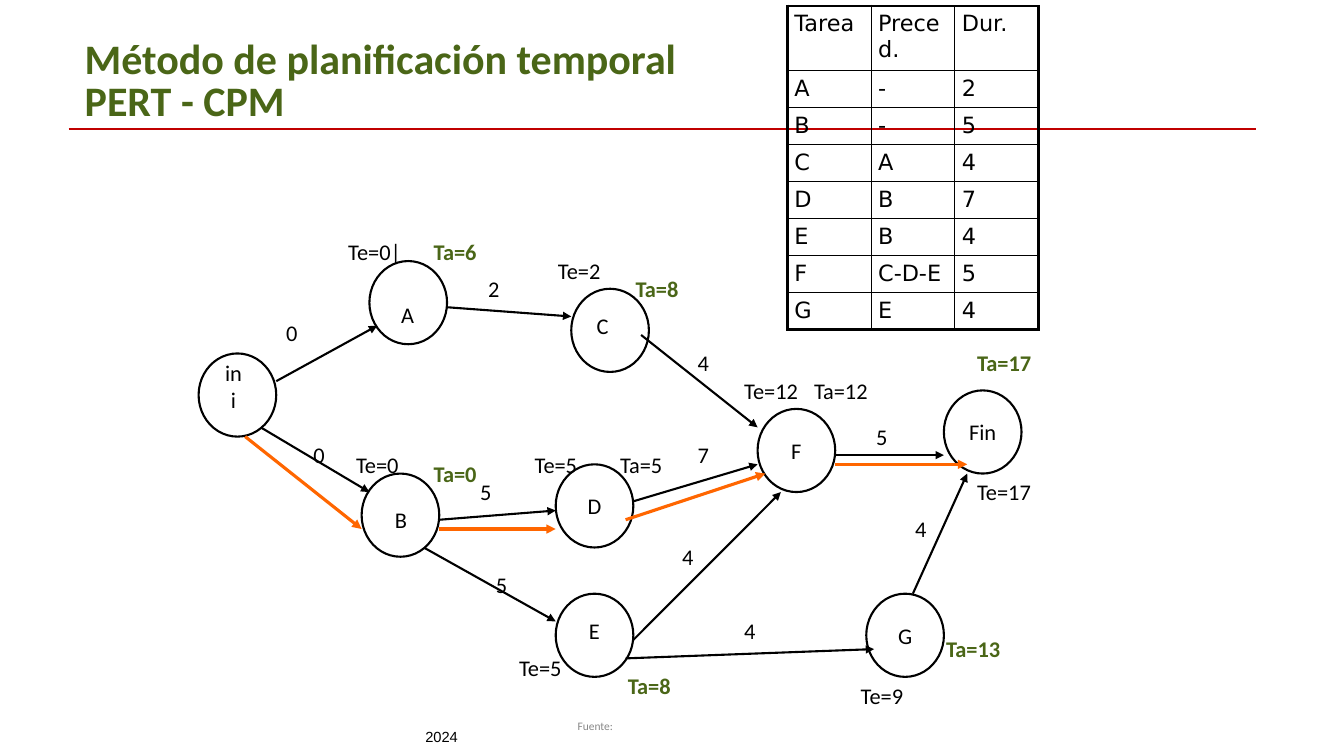
import pptx
import pptx.util
import pptx.dml.color
import pptx.enum.shapes
import pptx.enum.text
import pptx.oxml
import pptx.oxml.ns

RGB = pptx.dml.color.RGBColor
BLACK = RGB(0x00, 0x00, 0x00)
GREEN = RGB(0x4A, 0x66, 0x17)
RED = RGB(0xC0, 0x00, 0x00)
ORANGE = RGB(0xFF, 0x66, 0x00)
GREY = RGB(0x88, 0x88, 0x88)
ALIGN = pptx.enum.text.PP_ALIGN
MIDDLE = pptx.enum.text.MSO_ANCHOR.MIDDLE

NODE_W, NODE_H = 10, 9  # node size in grid columns and rows

# Nodes: column, row, text centred inside
NODES = [(0, 10, ""), (22, 0, ""), (48, 3, ""), (21, 23, ""), (46, 22, "D"),
         (46, 36, ""), (72, 16, "F"), (86, 36, "G"), (96, 14, "Fin")]

# Arrows: from column, row to column, row
TASKS = [(10, 13, 23, 7), (8, 18, 22, 25), (32, 5, 48, 6), (31, 28, 46, 27),
         (29, 31, 46, 39), (57, 8, 72, 18), (56, 26, 72, 22), (56, 41, 75, 25),
         (55, 43, 87, 42), (82, 21, 96, 21), (92, 36, 99, 23)]
CRITICAL = [(6, 19, 21, 29), (31, 29, 46, 29), (55, 28, 73, 23), (82, 22, 99, 22)]

# Labels: column, row, text
NAMES = [(24.8, 3.8, "A"), (24, 26, "B"), (50, 5, "C"), (49, 38, "E")]
DURATIONS = [(10, 5.8, "0"), (13.5, 19, "0"), (36, 1, "2"), (35, 23, "5"),
             (63, 9, "4"), (63, 19, "7"), (61, 30, "4"), (37, 33, "5"),
             (69, 38, "4"), (91, 27, "4"), (86, 17, "5")]
TIMES = [(18, -3, "Te=0|"), (19, 20, "Te=0"), (45, -1, "Te=2"), (42, 20, "Te=5"),
         (40, 42, "Te=5"), (69, 12, "Te=12"), (84, 45, "Te=9"), (99, 23, "Te=17"),
         (78, 12, "Ta=12"), (53, 20, "Ta=5")]
LATEST = [(99, 9, "Ta=17"), (95, 40, "Ta=13"), (54, 44, "Ta=8"), (55, 1, "Ta=8"),
          (29, -3, "Ta=6"), (29, 21, "Ta=0")]

ROWS = [("Tarea", "Preced.", "Dur."), ("A", "-", "2"), ("B", "-", "5"),
        ("C", "A", "4"), ("D", "B", "7"), ("E", "B", "4"),
        ("F", "C-D-E", "5"), ("G", "E", "4")]


class Board:
    """Style, slide and the grid on which the network is drawn."""
    font, size = "Calibri", 16
    left, top = 1.97, 2.59
    col, row = 0.77 / 10, 0.55 / 6

    def __init__(self, prs):
        self.prs = prs
        self.s = prs.slides.add_slide(prs.slide_layouts[5])

    def grid(self, c, r):
        return (pptx.util.Inches(self.left + c * self.col),
                pptx.util.Inches(self.top + r * self.row))

    def share(self, x, y):
        """Turn percentages of the slide into lengths."""
        return (int(self.prs.slide_width * x / 100),
                int(self.prs.slide_height * y / 100))

    def run(self, p, text, color=BLACK, size=None, font=None, bold=False):
        r = p.add_run()
        r.text = text
        r.font.name = font or self.font
        r.font.size = pptx.util.Pt(size or self.size)
        r.font.bold = bold
        r.font.color.rgb = color

    def title(self, at, extent, lines):
        sp = self.s.shapes.title
        sp.left, sp.top = self.share(*at)
        sp.width, sp.height = self.share(*extent)
        tf = sp.text_frame
        tf.auto_size = pptx.enum.text.MSO_AUTO_SIZE.NONE
        tf.vertical_anchor = MIDDLE
        p = tf.paragraphs[0]
        p.alignment = ALIGN.LEFT
        p.line_spacing = 0.85
        for i, line in enumerate(lines):
            if i:
                p.add_line_break()
            self.run(p, line, GREEN, 30, bold=True)

    def text(self, at, extent, text, color=BLACK, inset=(0.1, 0.05), **style):
        tf = self.s.shapes.add_textbox(*at, *extent).text_frame
        tf.word_wrap = True
        tf.margin_left = tf.margin_right = pptx.util.Inches(inset[0])
        tf.margin_top = tf.margin_bottom = pptx.util.Inches(inset[1])
        self.run(tf.paragraphs[0], text, color, **style)

    def label(self, c, r, text, color=BLACK, bold=False):
        extent = (pptx.util.Inches(0.25 + 0.11 * len(text)), pptx.util.Inches(0.37))
        self.text(self.grid(c, r), extent, text, color, bold=bold)

    def node(self, c, r, text, w=NODE_W, h=NODE_H, outline=True):
        sp = self.s.shapes.add_shape(
            pptx.enum.shapes.MSO_SHAPE.OVAL, *self.grid(c, r),
            pptx.util.Inches(w * self.col), pptx.util.Inches(h * self.row))
        sp.shadow.inherit = False
        sp.fill.background()
        if outline:
            sp.line.color.rgb = BLACK
            sp.line.width = pptx.util.Pt(1.5)
        else:
            sp.line.fill.background()
        if text:
            tf = sp.text_frame
            tf.word_wrap = True
            tf.vertical_anchor = MIDDLE
            p = tf.paragraphs[0]
            p.alignment = ALIGN.CENTER
            self.run(p, text)

    def line(self, start, end, color, width, arrow=False):
        cn = self.s.shapes.add_connector(
            pptx.enum.shapes.MSO_CONNECTOR.STRAIGHT, *start, *end)
        cn.line.color.rgb = color
        cn.line.width = pptx.util.Pt(width)
        if arrow:
            pptx.oxml.ns.qn("a:tailEnd")
            tail = cn.line._get_or_add_ln().makeelement(
                pptx.oxml.ns.qn("a:tailEnd"), {"type": "triangle"})
            cn.line._get_or_add_ln().append(tail)
        sppr = cn._element.spPr
        sppr.append(sppr.makeelement(pptx.oxml.ns.qn("a:effectLst"), {}))

    def arrow(self, c1, r1, c2, r2, color=BLACK, width=1.5):
        self.line(self.grid(c1, r1), self.grid(c2, r2), color, width, arrow=True)

    def borders(self, cell, widths):
        tcpr = cell._tc.get_or_add_tcPr()
        for i, (side, width) in enumerate(widths.items()):
            tcpr.insert(i, pptx.oxml.parse_xml(
                f'<a:{side} {pptx.oxml.ns.nsdecls("a")} w="{pptx.util.Pt(width)}">'
                f'<a:solidFill><a:srgbClr val="{BLACK}"/></a:solidFill></a:{side}>'))

    def table(self, at, extent, rows, head):
        n, m = len(rows), len(rows[0])
        width, height = self.share(*extent)
        tbl = self.s.shapes.add_table(n, m, *self.share(*at), width, height).table
        tbl.first_row = tbl.horz_banding = False
        for column in tbl.columns:
            column.width = width // m
        for i, values in enumerate(rows):
            tbl.rows[i].height = int(height * head) if i == 0 else int(
                height * (1 - head) / (n - 1))
            for j, value in enumerate(values):
                cell = tbl.cell(i, j)
                cell.fill.background()
                cell.margin_left = cell.margin_right = pptx.util.Inches(0.07)
                cell.margin_top = cell.margin_bottom = pptx.util.Inches(0.05)
                self.run(cell.text_frame.paragraphs[0], value, font="DejaVu Sans")
                thick = {"lnL": j == 0, "lnR": j == m - 1,
                         "lnT": i == 0 and j < m - 1, "lnB": i == n - 1}
                self.borders(cell, {k: 2.25 if v else 1 for k, v in thick.items()})


def main():
    prs = pptx.Presentation()
    prs.slide_width = pptx.util.Inches(13.33)
    prs.slide_height = pptx.util.Inches(7.5)
    b = Board(prs)

    # Title, rule and footer
    b.line(b.share(5.1, 17.07), b.share(93.47, 17.07), RED, 0.75)
    b.text(b.share(30.91, 95.6), b.share(6.75, 3.73), "2024", size=10.5, font="Arial")
    b.text(b.share(42.46, 94.53), b.share(5.4, 2.8), "Fuente:", GREY, (0.07, 0.04), size=8.2)
    b.title((5.55, 2.67), (84.4, 16.53), ["Método de planificación temporal", "PERT - CPM"])

    # Network nodes
    b.node(1, 11, "ini", 7, 5, outline=False)
    for node in NODES:
        b.node(*node)

    # Task arrows and critical path
    for task in TASKS:
        b.arrow(*task)
    for task in CRITICAL:
        b.arrow(*task, ORANGE, 2.25)

    # Names, durations and times
    for label in NAMES + DURATIONS + TIMES:
        b.label(*label)
    for label in LATEST:
        b.label(*label, GREEN, bold=True)

    # Task table
    b.table((58.59, 0.8), (18.68, 42.67), ROWS, head=0.2)
    prs.save("out.pptx")


if __name__ == "__main__":
    main()
